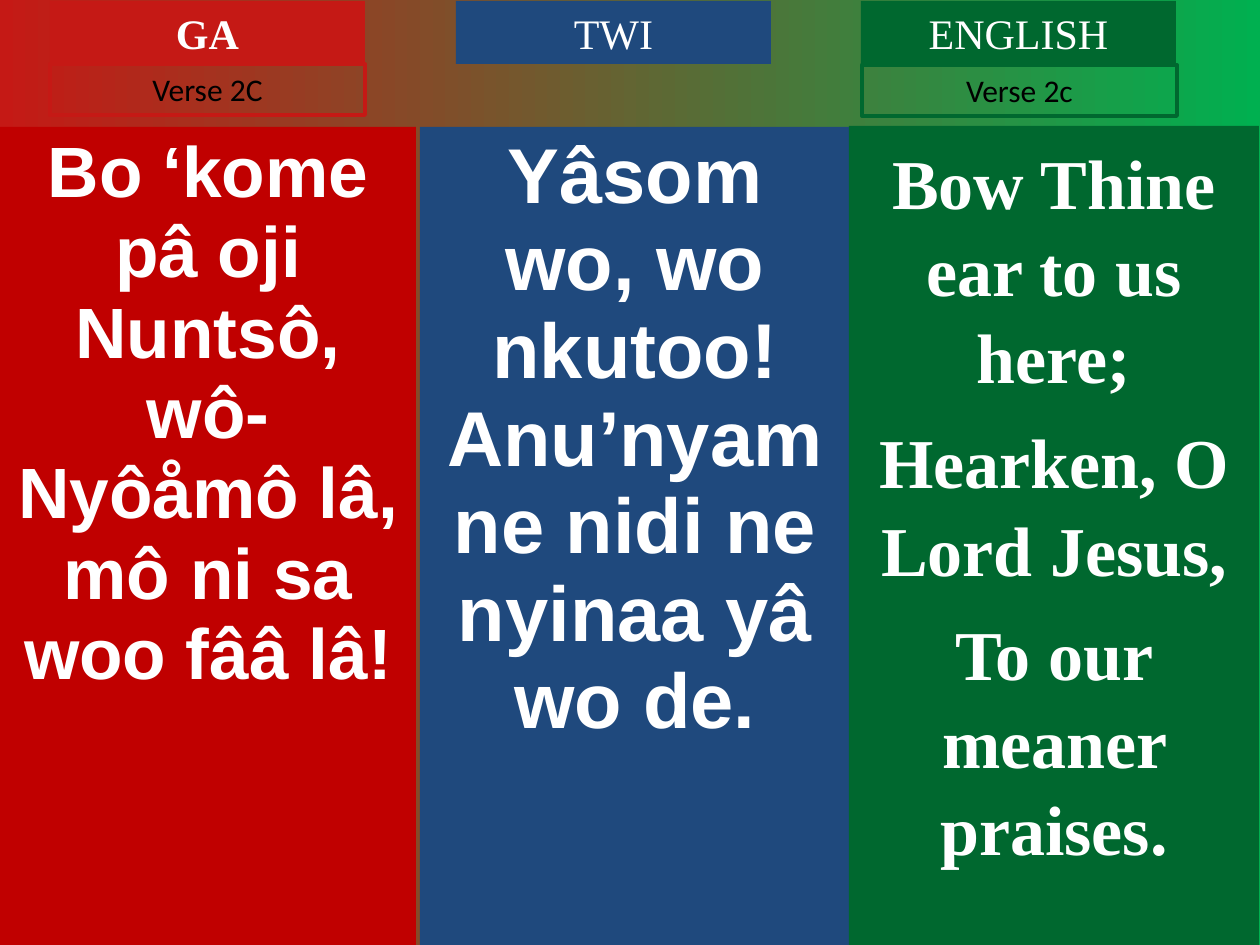
"""Build a three-language hymn verse slide."""
import pptx
import pptx.util
import pptx.dml.color
import pptx.enum.shapes
import pptx.enum.text

PX = 914400 // 126


def rgb(value):
    return pptx.dml.color.RGBColor.from_string(value)


def add_box(s, box, lines, size, font, color, bold=False, fill=None, line=None):
    sp = s.shapes.add_shape(pptx.enum.shapes.MSO_SHAPE.RECTANGLE, *[v * PX for v in box])
    sp.shadow.inherit = False
    if fill:
        sp.fill.solid()
        sp.fill.fore_color.rgb = rgb(fill)
    else:
        sp.fill.background()
    if line:
        sp.line.color.rgb = rgb(line)
        sp.line.width = pptx.util.Pt(2.25)
    else:
        sp.line.fill.background()
    tf = sp.text_frame
    tf.word_wrap = True
    tf.vertical_anchor = pptx.enum.text.MSO_ANCHOR.TOP
    tf.text = "\n".join(lines)
    for p in tf.paragraphs:
        p.alignment = pptx.enum.text.PP_ALIGN.CENTER
        for r in p.runs:
            r.font.size = pptx.util.Pt(size)
            r.font.name = font
            r.font.bold = bold
            r.font.color.rgb = rgb(color)
    return tf


prs = pptx.Presentation()
prs.slide_width = 1260 * PX
prs.slide_height = 945 * PX
s = prs.slides.add_slide(prs.slide_layouts[6])

bg = s.background.fill
bg.gradient()
bg.gradient_angle = 0
for stop, color in zip(bg.gradient_stops, ("C51915", "00B050")):
    stop.color.rgb = rgb(color)

columns = [
    ((0, 127, 416, 818), "C00000", "Arial", 40.7, 0.94, 0,
     ["Bo ‘kome pâ oji Nuntsô, wô-Nyôåmô lâ,", "mô ni sa woo fââ lâ!"]),
    ((420, 127, 430, 818), "1F497D", "Arial", 44.4, 0.94, 0,
     ["Yâsom wo, wo nkutoo!", "Anu’nyam ne nidi ne nyinaa yâ wo de."]),
    ((849, 126, 410, 819), "00682F", "Times New Roman", 40, 1.04, 10,
     ["Bow Thine ear to us here;", "Hearken, O Lord Jesus,", "To our meaner praises."]),
]
for box, fill, font, size, spacing, gap, lines in columns:
    tf = add_box(s, box, lines, size, font, "FFFFFF", True, fill)
    if gap:
        tf.margin_top = 10 * PX
    for i, p in enumerate(tf.paragraphs):
        p.line_spacing = spacing
        if i and gap:
            p.space_before = pptx.util.Pt(gap)

headers = [
    (50, "GA", "C51915", True),
    (456, "TWI", "1F497D", False),
    (861, "ENGLISH", "00682F", False),
]
for x, label, fill, bold in headers:
    add_box(s, (x, 1, 315, 63), [label], 24, "Times New Roman", "FFFFFF", bold, fill)

for x, y, label, line in [(50, 64, "Verse 2C", "C51915"), (862, 65, "Verse 2c", "00682F")]:
    add_box(s, (x, y, 315, 51), [label], 18, "Calibri", "000000", line=line)

prs.save("out.pptx")
